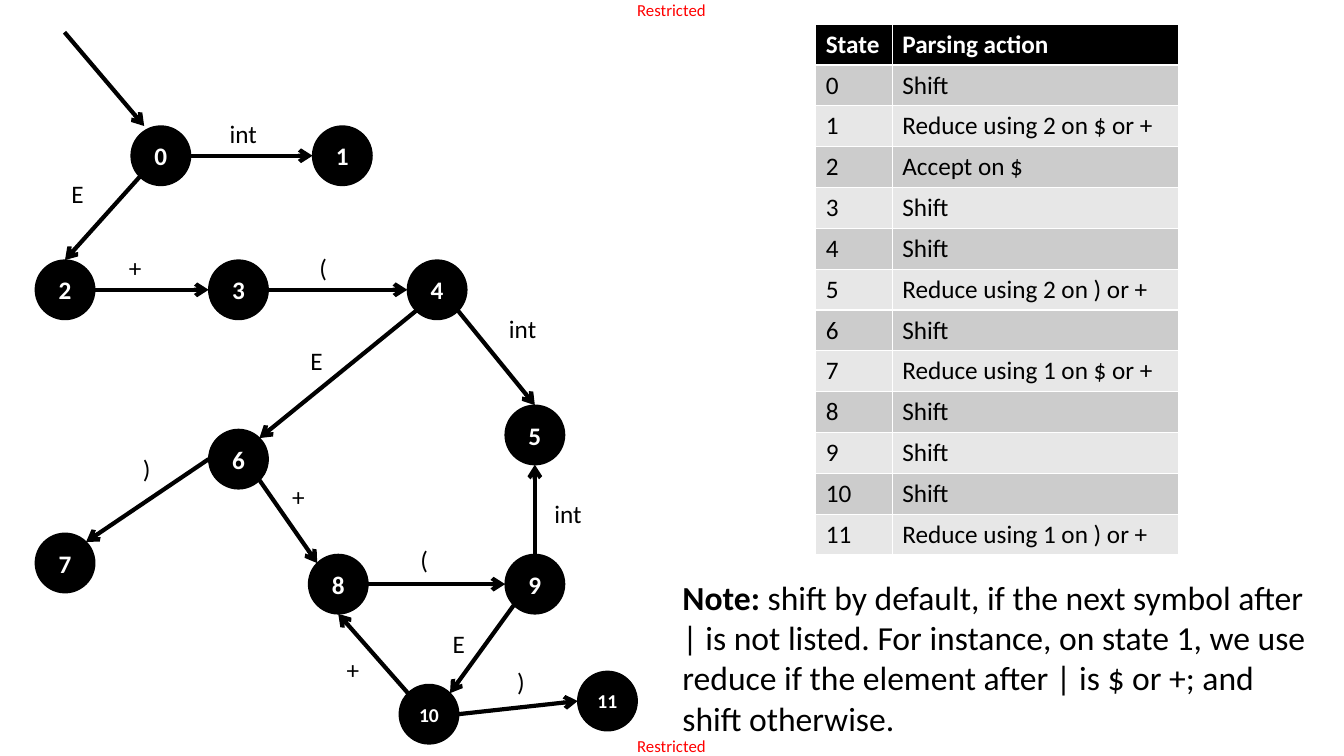
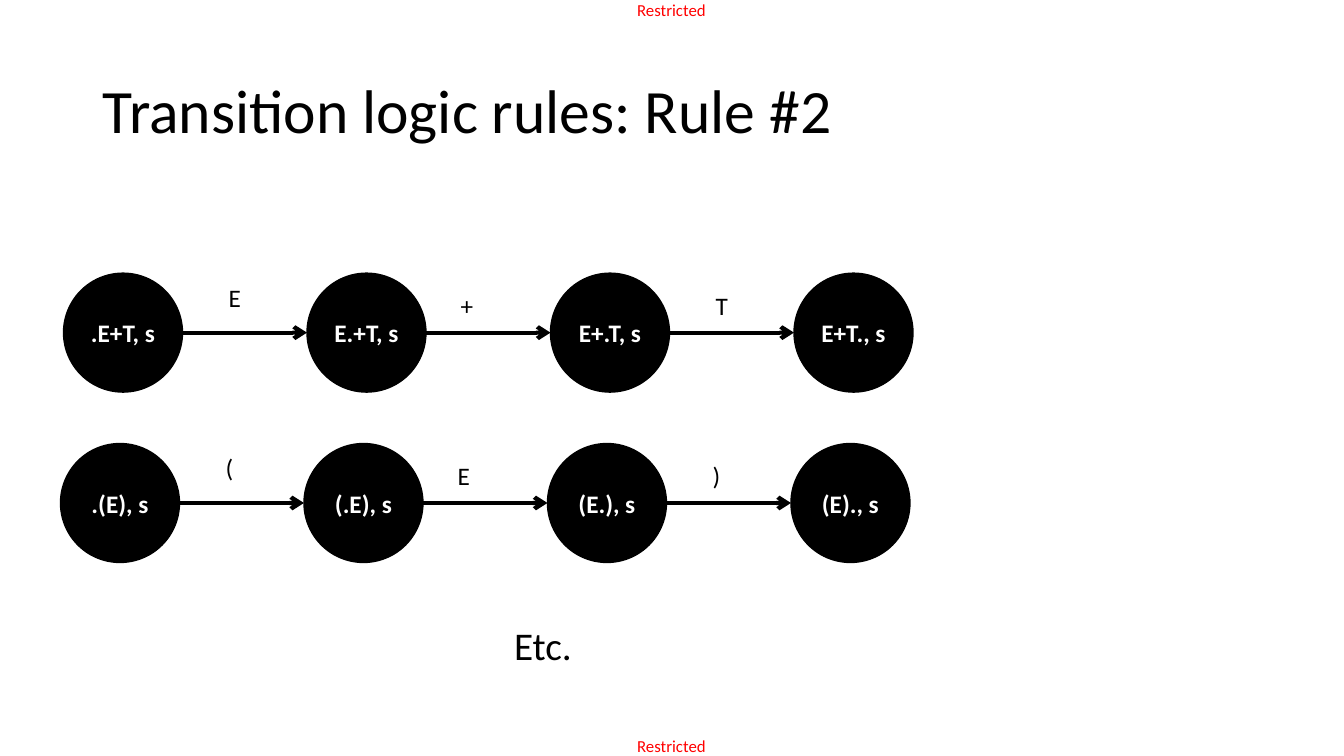
import math

import pptx
import pptx.dml.color
import pptx.enum.shapes
import pptx.enum.text
import pptx.oxml
import pptx.oxml.ns
import pptx.util

Inches = pptx.util.Inches
Pt = pptx.util.Pt
ALIGN = pptx.enum.text.PP_ALIGN
MID = pptx.enum.text.MSO_ANCHOR.MIDDLE

FONT = "Calibri"
HUES = {"ink": "000000", "paper": "FFFFFF", "mark": "FF0000",
        "dark": "CCCCCC", "light": "E7E7E7"}
# Compass points of a circle, in degrees clockwise from east
ANGLES = {side: 45 * i for i, side in
          enumerate(["e", "se", "s", "sw", "w", "nw", "n", "ne"])}

# State: left, top
DOTS = {"0": (1.3, 1.25), "1": (3.1, 1.25), "2": (0.35, 2.58),
        "3": (2.07, 2.58), "4": (4.04, 2.58), "5": (5.01, 4.02),
        "6": (2.07, 4.26), "7": (0.35, 5.29), "8": (3.06, 5.5),
        "9": (5.01, 5.5), "10": (3.96, 6.79), "11": (5.73, 6.66)}
# From state and side, to state and side, label, label left and top
EDGES = [("0", "e", "1", "w", "int", 2.18, 1.12),
         ("0", "sw", "2", "n", "E", 0.61, 1.72),
         ("2", "e", "3", "w", "+", 1.18, 2.45),
         ("3", "e", "4", "w", "(", 3.07, 2.45),
         ("4", "se", "5", "n", "int", 4.95, 3.06),
         ("9", "n", "5", "s", "int", 5.4, 4.89),
         ("4", "sw", "6", "ne", "E", 2.98, 3.38),
         ("6", "w", "7", "ne", ")", 1.32, 4.45),
         ("6", "se", "8", "nw", "+", 2.8, 4.73),
         ("8", "e", "9", "w", "(", 4.07, 5.35),
         ("9", "sw", "10", "ne", "E", 4.39, 6.18),
         ("10", "e", "11", "w", ")", 5.03, 6.56),
         ("10", "nw", "8", "s", "+", 3.34, 6.44)]
ACTS = ["Shift", "Reduce using 2 on $ or +", "Accept on $", "Shift", "Shift",
        "Reduce using 2 on ) or +", "Shift", "Reduce using 1 on $ or +",
        "Shift", "Shift", "Shift", "Reduce using 1 on ) or +"]
# Left, top, states, labels
CHAINS = [(0.63, 2.71, [".E+T, s", "E.+T, s", "E+.T, s", "E+T., s"], "E+T"),
          (0.6, 4.4, [".(E), s", "(.E), s", "(E.), s", "(E)., s"], "(E)")]


def color(name):
    return pptx.dml.color.RGBColor.from_string(HUES[name])


class Deck:
    """Holds the style and the current slide."""

    def __init__(self):
        self.prs = pptx.Presentation()
        self.prs.slide_width = Inches(13.33)
        self.prs.slide_height = Inches(7.5)
        self.slide = None

    def page(self, layout):
        self.slide = self.prs.slides.add_slide(self.prs.slide_layouts[layout])

    def style(self, para, size, hue="ink", bold=None):
        para.font.name = FONT
        para.font.size = Pt(size)
        para.font.color.rgb = color(hue)
        para.font.bold = bold

    def title(self, text):
        shape = self.slide.shapes.title
        shape.left, shape.top = Inches(0.92), Inches(0.4)
        shape.width, shape.height = Inches(11.5), Inches(1.45)
        frame = shape.text_frame
        frame.text = text
        frame.vertical_anchor = MID
        para = frame.paragraphs[0]
        para.alignment = ALIGN.LEFT
        para.line_spacing = 0.9
        self.style(para, 44)

    def text(self, text, x, y, w=0.53, h=0.4, size=18, hue="ink", lead=""):
        box = self.slide.shapes.add_textbox(*map(Inches, (x, y, w, h)))
        frame = box.text_frame
        frame.word_wrap = True
        para = frame.paragraphs[0]
        if lead:
            run = para.add_run()
            run.text = lead
            run.font.bold = True
        para.add_run().text = text
        self.style(para, size, hue)
        return box

    def bands(self):
        """Put the top and bottom marks on the slide master."""
        for y in (0, 7.3):
            box = self.text("Restricted", 6.32, y, 0.73, 0.2, 12, "mark")
            frame = box.text_frame
            frame.word_wrap = False
            frame.margin_left = frame.margin_right = 0
            frame.margin_top = frame.margin_bottom = 0
            self.prs.slide_master.shapes.element.append(box.element)

    def dot(self, text, x, y, d, size=18):
        oval = self.slide.shapes.add_shape(
            pptx.enum.shapes.MSO_SHAPE.OVAL, *map(Inches, (x, y, d, d)))
        oval.shadow.inherit = False
        oval.fill.solid()
        oval.fill.fore_color.rgb = color("ink")
        oval.line.color.rgb = color("ink")
        oval.line.width = Pt(1)
        frame = oval.text_frame
        frame.word_wrap = False
        frame.vertical_anchor = MID
        frame.text = text
        para = frame.paragraphs[0]
        para.alignment = ALIGN.CENTER
        self.style(para, size, "paper", True)

    def arrow(self, start, end):
        line = self.slide.shapes.add_connector(
            pptx.enum.shapes.MSO_CONNECTOR.STRAIGHT,
            *map(Inches, (*start, *end)))
        line.line.color.rgb = color("ink")
        line.line.width = Pt(3)
        ns = pptx.oxml.ns.nsdecls("a")
        line.line._get_or_add_ln().append(
            pptx.oxml.parse_xml(f'<a:tailEnd {ns} type="arrow"/>'))
        line.element.spPr.append(pptx.oxml.parse_xml(f"<a:effectLst {ns}/>"))

    def table(self, rows, x, y, widths, high):
        grid = self.slide.shapes.add_table(
            len(rows), len(widths),
            *map(Inches, (x, y, sum(widths), high))).table
        for col, width in zip(grid.columns, widths):
            col.width = Inches(width)
        for r, row in enumerate(rows):
            head = r == 0
            fill = "ink" if head else "dark" if r % 2 else "light"
            for c, text in enumerate(row):
                cell = grid.cell(r, c)
                cell.text = text
                cell.fill.solid()
                cell.fill.fore_color.rgb = color(fill)
                self.style(cell.text_frame.paragraphs[0], 18,
                           "paper" if head else "ink", head)


def rim(spot, side, d):
    """Point on the edge of a circle, at a compass side."""
    turn = math.radians(ANGLES[side])
    return (spot[0] + d / 2 * (1 + math.cos(turn)),
            spot[1] + d / 2 * (1 + math.sin(turn)))


def states(deck):
    deck.page(6)
    deck.bands()
    # State graph
    d = 0.59
    for name, spot in DOTS.items():
        deck.dot(name, *spot, d, 14 if len(name) > 1 else 18)
    deck.arrow((0.64, 0.32), (1.43, 1.25))
    for a, out, b, into, label, x, y in EDGES:
        deck.arrow(rim(DOTS[a], out, d), rim(DOTS[b], into, d))
        deck.text(label, x, y)
    # Action table and note
    rows = [("State", "Parsing action")]
    rows += [(str(i), act) for i, act in enumerate(ACTS)]
    deck.table(rows, 8.09, 0.24, [0.76, 2.84], 5.27)
    deck.text("shift by default, if the next symbol after | is not listed. "
              "For instance, on state 1, we use reduce if the element after "
              "| is $ or +; and shift otherwise.",
              6.67, 5.67, 6.5, 1.72, 24, lead="Note: ")


def rules(deck):
    deck.page(5)
    deck.title("Transition logic rules: Rule #2")
    # Chains of states
    d, step = 1.18, 2.415
    for x, y, names, labels in CHAINS:
        spots = [(x + i * step, y) for i in range(len(names))]
        for name, spot in zip(names, spots):
            deck.dot(name, *spot, d)
        for a, b in zip(spots, spots[1:]):
            deck.arrow(rim(a, "e", d), rim(b, "w", d))
        for label, dx, dy in zip(labels, (1.54, 3.84, 6.37),
                                 (0.04, 0.12, 0.12)):
            deck.text(label, x + dx, y + dy)
    deck.text("Etc.", 5, 6.11, 3.93, 0.57, 28)


def main():
    deck = Deck()
    states(deck)
    rules(deck)
    deck.prs.save("out.pptx")


if __name__ == "__main__":
    main()
